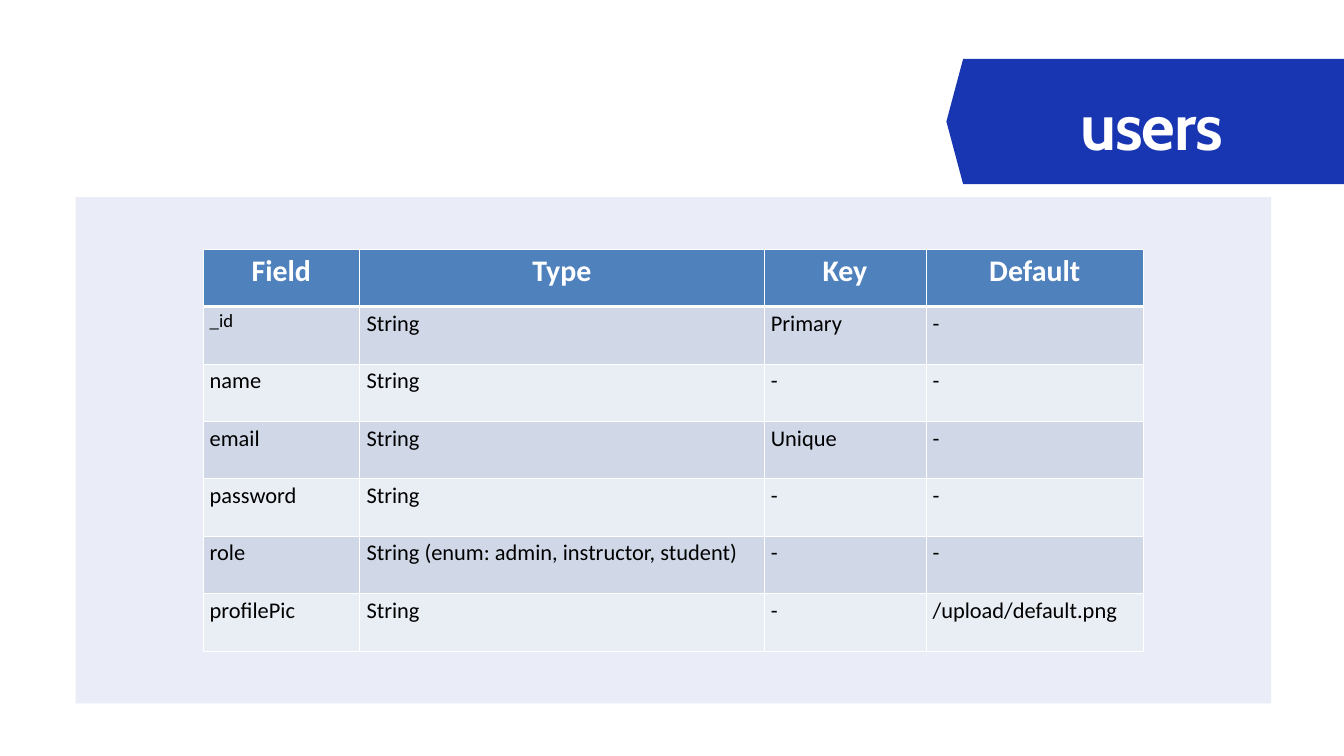
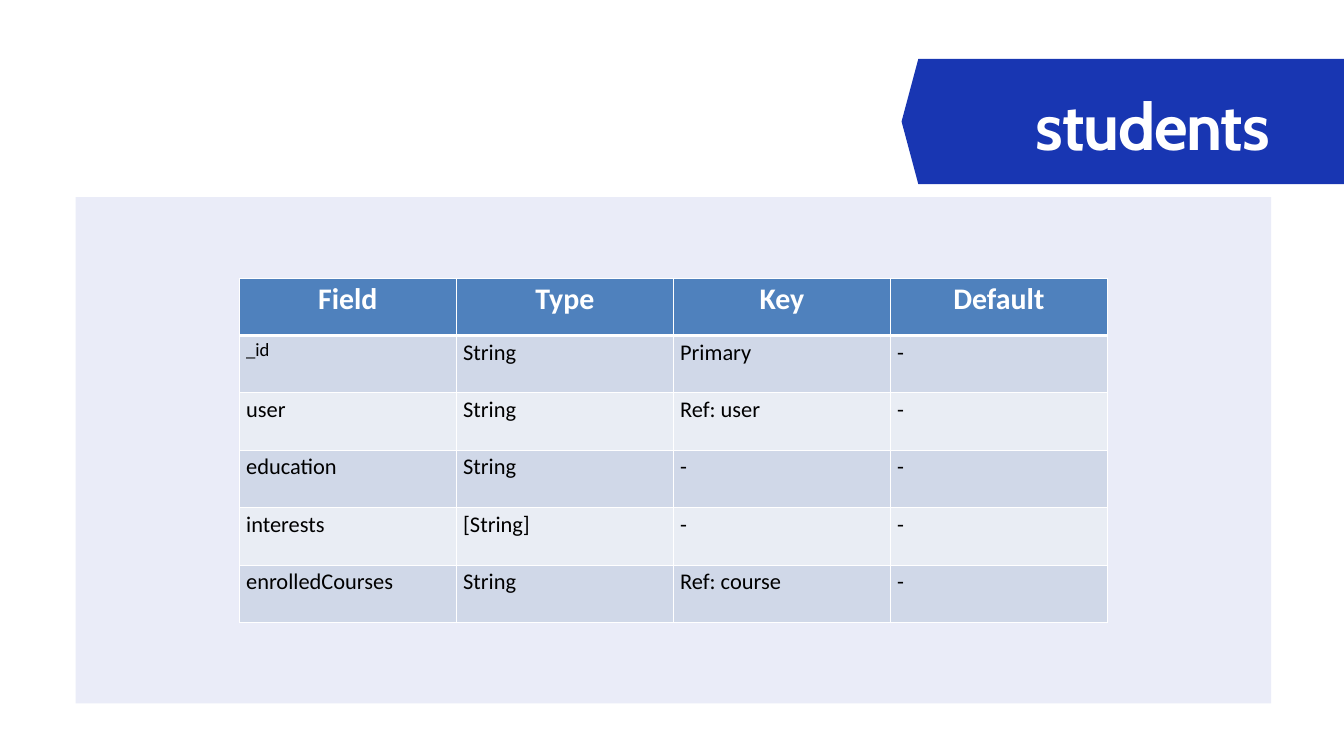
import dataclasses

import lxml.etree
import pptx
import pptx.dml.color
import pptx.enum.shapes
import pptx.enum.text
import pptx.oxml.ns
import pptx.util


@dataclasses.dataclass(frozen=True)
class Theme:
    """Colours, fonts and type sizes shared by the slides."""
    white: str = "FFFFFF"
    black: str = "000000"
    blue: str = "1836B2"
    header: str = "4F81BD"
    bands: tuple = ("D0D8E8", "E9EDF4")
    title_font: str = "Cabin"
    table_font: str = "Calibri"
    title_size: int = 70
    header_size: int = 32
    body_size: int = 24
    id_size: int = 20
    title_leading: int = 98
    title_tracking: int = -140
    panel_opacity: int = 9
    thin: int = 1
    thick: int = 3


THEME = Theme()
GRID_COLUMNS, GRID_ROWS = 240, 135
UNIT = pptx.util.Inches(20) / GRID_COLUMNS

PANEL = (13.5, 35.2, 213.5, 90.4)
BANNER_TOP, BANNER_HEIGHT, BANNER_WIDTH, BANNER_NOTCH = 10.5, 22.4, 83, 3
TITLE_INDENT, TITLE_TOP, TITLE_WIDTH, TITLE_HEIGHT = 24, 12.8, 59.4, 15.5
ROW_HEIGHT = 10.25

HEADINGS = ("Field", "Type", "Key", "Default")
USERS = (
    ("_id", "String", "Primary", "-"),
    ("name", "String", "-", "-"),
    ("email", "String", "Unique", "-"),
    ("password", "String", "-", "-"),
    ("role", "String (enum: admin, instructor, student)", "-", "-"),
    ("profilePic", "String", "-", "/upload/default.png"),
)
STUDENTS = (
    ("_id", "String", "Primary", "-"),
    ("user", "String", "Ref: user", "-"),
    ("education", "String", "-", "-"),
    ("interests", "[String]", "-", "-"),
    ("enrolledCourses", "String", "Ref: course", "-"),
)


def grid(*counts):
    """Turn counts of grid units into lengths."""
    return [pptx.util.Emu(round(count * UNIT)) for count in counts]


def paint(fill, colour):
    """Apply a solid colour to a fill."""
    fill.solid()
    fill.fore_color.rgb = pptx.dml.color.RGBColor.from_string(colour)


def style_font(font, colour, **values):
    """Set a font's colour and its other format values."""
    for name, value in values.items():
        setattr(font, name, value)
    font.color.rgb = pptx.dml.color.RGBColor.from_string(colour)


def finish_shape(shape, colour):
    """Give a shape a flat fill without outline or shadow."""
    shape.shadow.inherit = False
    paint(shape.fill, colour)
    shape.line.fill.background()


def add_banner(slide, title, left):
    """Add the notched banner and its title as one group."""
    group = slide.shapes.add_group_shape()
    right, bottom = left + BANNER_WIDTH, BANNER_TOP + BANNER_HEIGHT
    middle = BANNER_TOP + BANNER_HEIGHT / 2
    inner_left, inner_right = left + BANNER_NOTCH, right - BANNER_NOTCH
    outline = [grid(*point) for point in (
        (inner_left, bottom), (inner_right, bottom), (right, middle),
        (inner_right, BANNER_TOP), (inner_left, BANNER_TOP), (left, middle))]
    builder = group.shapes.build_freeform(*outline[0])
    builder.add_line_segments(outline[1:], close=True)
    finish_shape(builder.convert_to_shape(), THEME.blue)

    text_box = group.shapes.add_textbox(
        *grid(left + TITLE_INDENT, TITLE_TOP, TITLE_WIDTH, TITLE_HEIGHT))
    frame = text_box.text_frame
    frame_format = dict.fromkeys(
        ("margin_left", "margin_top", "margin_right", "margin_bottom"), 0)
    frame_format.update(
        word_wrap=True, auto_size=pptx.enum.text.MSO_AUTO_SIZE.SHAPE_TO_FIT_TEXT)
    for name, value in frame_format.items():
        setattr(frame, name, value)
    paragraph = frame.paragraphs[0]
    paragraph.line_spacing = pptx.util.Pt(THEME.title_leading)
    run = paragraph.add_run()
    run.text = title
    style_font(run.font, THEME.white, name=THEME.title_font,
               size=pptx.util.Pt(THEME.title_size), bold=True)
    run._r.get_or_add_rPr().set("spc", str(THEME.title_tracking))


def add_panel(slide):
    """Add the translucent panel behind the table."""
    panel = slide.shapes.add_shape(
        pptx.enum.shapes.MSO_SHAPE.RECTANGLE, *grid(*PANEL))
    finish_shape(panel, THEME.blue)
    colour = panel._element.spPr.find(".//" + pptx.oxml.ns.qn("a:srgbClr"))
    lxml.etree.SubElement(colour, pptx.oxml.ns.qn("a:alpha"),
                          val=str(THEME.panel_opacity * 1000))


def add_borders(cell, **widths):
    """Draw white borders on a cell, thin unless a side's width is given."""
    properties = cell._tc.get_or_add_tcPr()
    for side in ("L", "R", "T", "B"):
        width = pptx.util.Pt(widths.get(side, THEME.thin))
        line = lxml.etree.SubElement(
            properties, pptx.oxml.ns.qn("a:ln" + side), w=str(width))
        fill = lxml.etree.SubElement(line, pptx.oxml.ns.qn("a:solidFill"))
        lxml.etree.SubElement(
            fill, pptx.oxml.ns.qn("a:srgbClr"), val=THEME.white)


def fill_cell(cell, text, row):
    """Write and style a cell according to its row."""
    is_header = row == 0
    thick_side = {0: "B", 1: "T"}.get(row)
    add_borders(cell, **({thick_side: THEME.thick} if thick_side else {}))
    paint(cell.fill, THEME.header if is_header else THEME.bands[(row - 1) % 2])
    paragraph = cell.text_frame.paragraphs[0]
    if is_header:
        paragraph.alignment = pptx.enum.text.PP_ALIGN.CENTER
        size = THEME.header_size
    else:
        size = THEME.id_size if text == "_id" else THEME.body_size
    run = paragraph.add_run()
    run.text = text
    style_font(run.font, THEME.white if is_header else THEME.black,
               name=THEME.table_font, size=pptx.util.Pt(size), bold=is_header)


def add_field_table(slide, fields, widths):
    """Add the table of fields, centred on the panel."""
    rows = (HEADINGS, *fields)
    width, height = sum(widths), len(rows) * ROW_HEIGHT
    left, top, panel_width, panel_height = PANEL
    table = slide.shapes.add_table(
        len(rows), len(widths),
        *grid(left + (panel_width - width) / 2,
              top + (panel_height - height) / 2, width, height)).table
    for column, column_width in zip(table.columns, grid(*widths)):
        column.width = column_width
    for row, texts in enumerate(rows):
        table.rows[row].height = grid(ROW_HEIGHT)[0]
        for column, text in enumerate(texts):
            fill_cell(table.cell(row, column), text, row)


def add_collection_slide(presentation, title, banner_left, fields, widths):
    """Add one slide describing a database collection."""
    slide = presentation.slides.add_slide(presentation.slide_layouts[6])
    paint(slide.background.fill, THEME.white)
    add_banner(slide, title, banner_left)
    add_panel(slide)
    add_field_table(slide, fields, widths)


def main():
    """Build and save the presentation."""
    presentation = pptx.Presentation()
    presentation.slide_width, presentation.slide_height = grid(
        GRID_COLUMNS, GRID_ROWS)
    add_collection_slide(
        presentation, "users", 169, USERS, (28, 72.2, 28.9, 38.9))
    add_collection_slide(
        presentation, "students", 161, STUDENTS, (38.75,) * len(HEADINGS))
    presentation.save("out.pptx")


if __name__ == "__main__":
    main()
